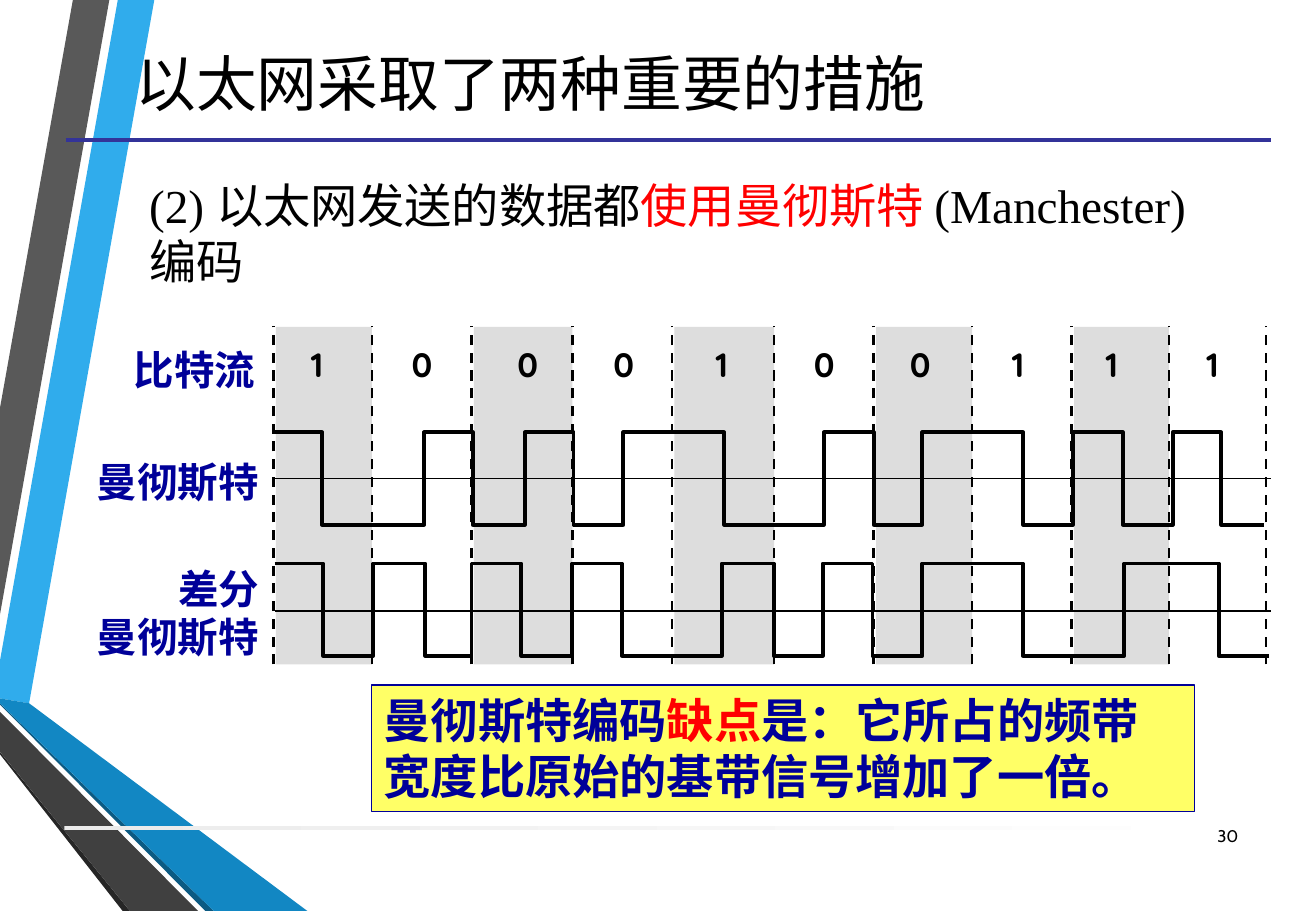
"""Build a slide on Manchester encoding in Ethernet."""
from itertools import pairwise

from lxml import etree
from pptx import Presentation
from pptx.dml.color import RGBColor
from pptx.enum.dml import MSO_LINE
from pptx.enum.shapes import MSO_CONNECTOR, MSO_SHAPE
from pptx.enum.text import MSO_ANCHOR, PP_ALIGN
from pptx.oxml.ns import qn
from pptx.util import Pt

EMU_PER_PX = 9144
STRAIGHT = MSO_CONNECTOR.STRAIGHT
RECTANGLE = MSO_SHAPE.RECTANGLE
DASH = MSO_LINE.DASH
TOP, MIDDLE = MSO_ANCHOR.TOP, MSO_ANCHOR.MIDDLE
LEFT, CENTER, RIGHT = PP_ALIGN.LEFT, PP_ALIGN.CENTER, PP_ALIGN.RIGHT
BLACK, RED, NAVY = "000000", "FF0000", "000099"

RIBBONS = [
    ("30ACEC", [(0, 544), (0, 575), (24, 579), (127, 0), (97, 0)]),
    ("595959", [(90, 0), (60, 0), (0, 336), (0, 506)]),
    ("262626", [(0, 619), (0, 621), (101, 750), (107, 750)]),
    ("0C5A82", [(0, 579), (0, 580), (169, 750), (176, 750)]),
    ("1287C3", [(0, 579), (176, 750), (253, 750), (24, 579), (0, 575)]),
    ("404040", [(0, 619), (107, 750), (163, 750), (0, 586)]),
]
BIT_BOUNDARIES = [225, 306, 388, 471, 553, 637, 719, 800, 882, 962, 1042]
BITS = "1000100111"
BIT_LEFTS = [246, 329, 416, 495, 579, 660, 739, 823, 900, 983]
MANCHESTER = [225, 265, 349, 389, 432, 472, 513, 596, 678, 719, 759, 842,
              883, 924, 965, 1005, 1040]
DIFFERENTIAL = [226, 266, 307, 350, 388, 429, 471, 512, 594, 637, 677, 718,
                759, 842, 925, 1003, 1044]
ROW_LABELS = [(279, 50, 220, ["比特流"]), (371, 50, 223, ["曼彻斯特"]),
              (459, 91, 223, ["差分", "曼彻斯特"])]


def px(length):
    return length * EMU_PER_PX


def color(hex_string):
    return RGBColor.from_string(hex_string)


class SlidePainter:
    """Draws styled elements on the current slide."""

    font = "Cabin"

    def __init__(self, slide):
        self.slide = slide
        self.shapes = slide.shapes

    def outline(self, points, fill=None, stroke=None, weight=2.25):
        builder = self.shapes.build_freeform(*points[0], scale=EMU_PER_PX)
        builder.add_line_segments(points[1:], close=fill is not None)
        return self.paint(builder.convert_to_shape(), fill, stroke, weight)

    def paint(self, shape, fill, stroke=None, weight=0.75):
        shape.shadow.inherit = False
        if fill:
            shape.fill.solid()
            shape.fill.fore_color.rgb = color(fill)
        else:
            shape.fill.background()
        if stroke:
            shape.line.color.rgb = color(stroke)
            shape.line.width = Pt(weight)
        else:
            shape.line.fill.background()
        return shape

    def rectangle(self, left, top, width, height, fill, stroke=None):
        shape = self.shapes.add_shape(
            RECTANGLE, px(left), px(top), px(width), px(height))
        return self.paint(shape, fill, stroke)

    def fading_bar(self, left, top, width, height, start, end):
        bar = self.rectangle(left, top, width, height, start)
        bar.fill.gradient()
        bar.fill.gradient_angle = 0
        for stop, shade in zip(bar.fill.gradient_stops, (start, end)):
            stop.color.rgb = color(shade)

    def line(self, x1, y1, x2, y2, stroke, weight, dash=None):
        connector = self.shapes.add_connector(
            STRAIGHT, px(x1), px(y1), px(x2), px(y2))
        connector.line.color.rgb = color(stroke)
        connector.line.width = Pt(weight)
        if dash:
            connector.line.dash_style = dash
        etree.SubElement(connector.element.spPr, qn("a:effectLst"))

    def wave(self, edges, high, low):
        points = []
        for index, (start, end) in enumerate(pairwise(edges)):
            level = low if index % 2 else high
            points += [(start, level), (end, level)]
        self.outline(points, stroke=BLACK)

    def text(self, left, top, width, height, paragraphs, size, **style):
        box = self.shapes.add_textbox(
            px(left), px(top), px(width), px(height))
        self.fill_text(box, paragraphs, size, **style)

    def fill_text(self, shape, paragraphs, size, font=None, bold=False,
                  align=LEFT, anchor=TOP, space_before=0):
        frame = shape.text_frame
        frame.word_wrap = True
        frame.vertical_anchor = anchor
        for index, pieces in enumerate(paragraphs):
            paragraph = frame.add_paragraph() if index else frame.paragraphs[0]
            paragraph.alignment = align
            paragraph.space_before = Pt(space_before)
            for words, shade in pieces:
                run = paragraph.add_run()
                run.text = words
                run.font.name = font or self.font
                run.font.size = Pt(size)
                run.font.bold = bold
                run.font.color.rgb = color(shade)


def main():
    deck = Presentation()
    deck.slide_width, deck.slide_height = px(1083), px(750)
    painter = SlidePainter(deck.slides.add_slide(deck.slide_layouts[6]))

    for shade, points in RIBBONS:
        painter.outline(points, fill=shade)
    painter.fading_bar(53, 680, 975, 3, "EBEBEB", "FFFFFF")
    painter.line(54, 115, 1046, 115, "333399", 2.25)

    painter.text(33, 6, 818, 124, [[("以太网采取了两种重要的措施 ", BLACK)]],
                 36, align=CENTER, anchor=MIDDLE)
    painter.text(113, 107, 913, 169,
                 [[("(2) 以太网发送的数据都", BLACK), ("使用曼彻斯特 ", RED),
                   ("(Manchester) 编码", BLACK)]],
                 28, font="Times New Roman", anchor=MIDDLE, space_before=5.6)

    for start, end in list(pairwise(BIT_BOUNDARIES))[::2]:
        painter.rectangle(start + 2, 269, end - start - 2, 278, "DDDDDD")
    for boundary in BIT_BOUNDARIES:
        painter.line(boundary, 547, boundary, 268, BLACK, 1.5, DASH)
    for bit, left in zip(BITS, BIT_LEFTS):
        painter.text(left, 278, 37, 43, [[(bit, BLACK)]], 20,
                     font="Quicksand", bold=True)
    for top, height, right, names in ROW_LABELS:
        painter.text(50, top, right - 50, height,
                     [[(name, NAVY)] for name in names], 24,
                     bold=True, align=RIGHT)

    for edges, high, low, axis in ((MANCHESTER, 356, 432, 394),
                                   (DIFFERENTIAL, 464, 540, 503)):
        painter.wave(edges, high, low)
        painter.line(226, axis, 1046, axis, BLACK, 1)

    drawback = painter.rectangle(306, 564, 677, 104, "FFFF66", NAVY)
    painter.fill_text(drawback,
                      [[("曼彻斯特编码", NAVY), ("缺点", RED),
                        ("是：它所占的频带宽度比原始的基带信号增加了一倍。", NAVY)]],
                      28, bold=True, space_before=6)
    painter.text(978, 668, 51, 40, [[("30", BLACK)]], 10,
                 align=RIGHT, anchor=MIDDLE)
    deck.save("out.pptx")


if __name__ == "__main__":
    main()
